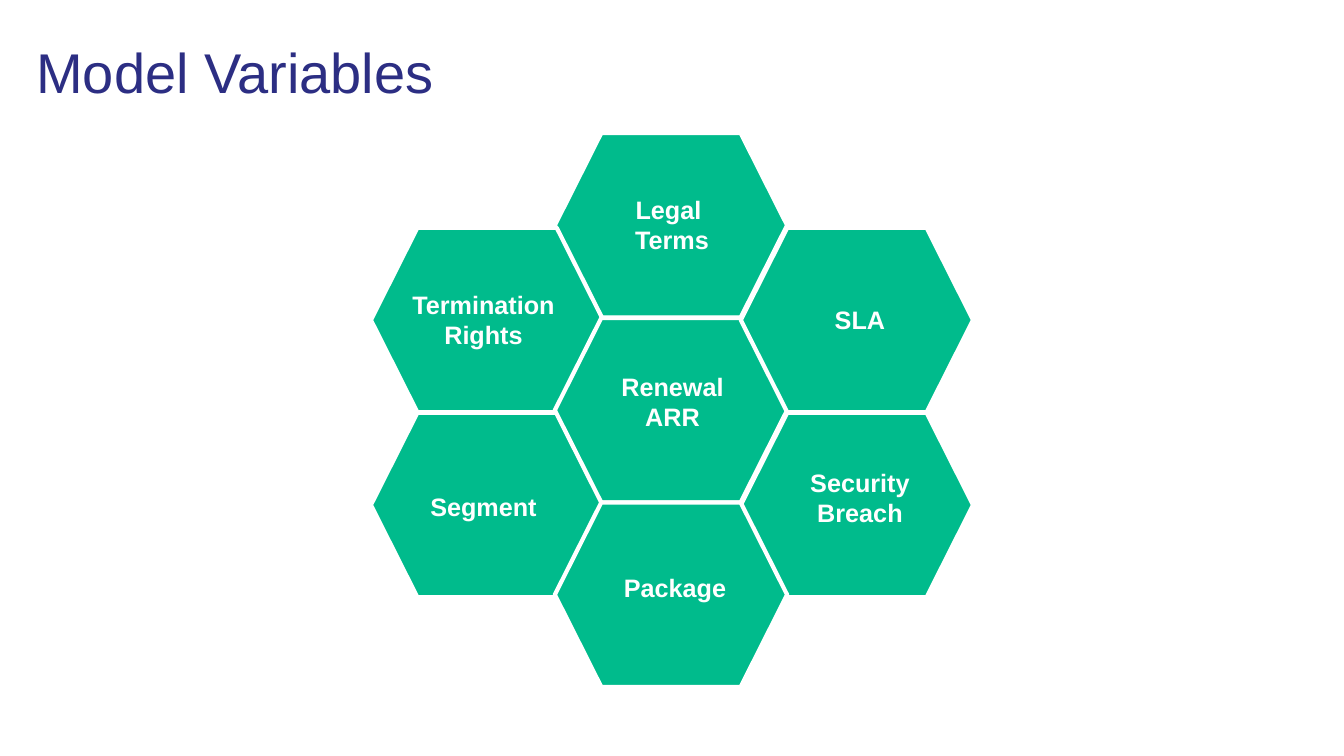
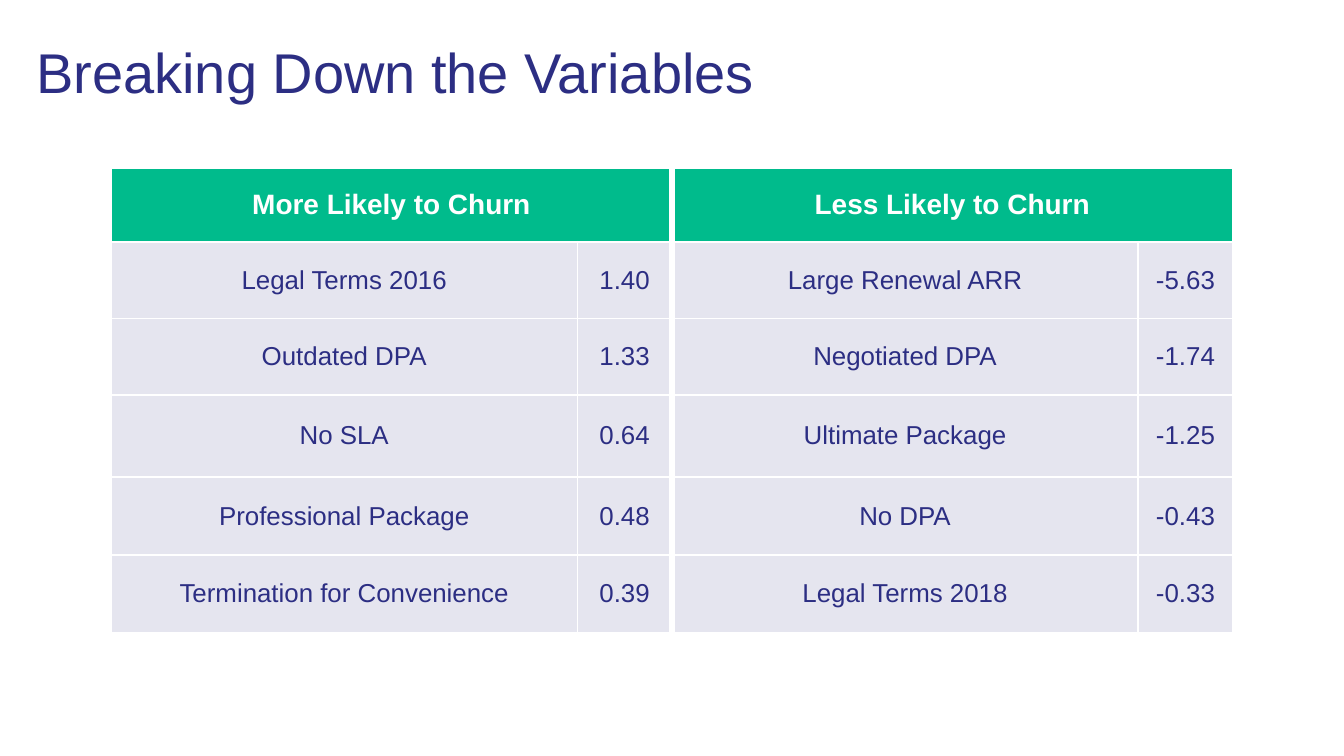
from lxml import etree
from pptx import Presentation
from pptx.dml.color import RGBColor
from pptx.enum.shapes import MSO_SHAPE
from pptx.enum.text import MSO_ANCHOR, MSO_AUTO_SIZE, PP_ALIGN
from pptx.oxml.ns import qn
from pptx.util import Inches, Pt

HEXAGON = MSO_SHAPE.FLOWCHART_PREPARATION
TOP, MIDDLE = MSO_ANCHOR.TOP, MSO_ANCHOR.MIDDLE
LEFT, CENTER = PP_ALIGN.LEFT, PP_ALIGN.CENTER
NO_AUTOFIT = MSO_AUTO_SIZE.NONE

FONT = "Arial"
NAVY, GREEN, WHITE = "2C2E83", "00BB8C", "FFFFFF"
TITLE_ONLY = 5
HEX_W, HEX_H = 4.61, 3.66
LABEL_W, LABEL_H = 3.27, 1.73
THIN, THICK = 3, 9

HEXAGONS = [
    (11.01, 2.64), (7.36, 4.52), (7.36, 8.19), (11.01, 6.31),
    (14.7, 4.52), (14.7, 8.19), (11.01, 9.97),
]
LABELS = [
    (7.96, 5.47, MIDDLE, ["Termination", "Rights"]),
    (11.71, 7.27, TOP, ["Renewal", "ARR"]),
    (11.7, 3.75, TOP, ["Legal ", "Terms"]),
    (15.43, 5.47, MIDDLE, ["SLA"]),
    (7.96, 9.18, MIDDLE, ["Segment"]),
    (11.76, 10.8, MIDDLE, ["Package"]),
    (15.43, 9, MIDDLE, ["Security", "Breach"]),
]
COL_WIDTHS = [9.26, 1.87, 9.26, 1.87]
ROW_HEIGHTS = [1.46, 1.52, 1.52, 1.62, 1.56, 1.53]
HEADERS = ["More Likely to Churn", "", "Less Likely to Churn", ""]
COEFFICIENTS = [
    ["Legal Terms 2016", "1.40", "Large Renewal ARR", "-5.63"],
    ["Outdated DPA", "1.33", "Negotiated DPA", "-1.74"],
    ["No SLA", "0.64", "Ultimate Package", "-1.25"],
    ["Professional Package", "0.48", "No DPA", "-0.43"],
    ["Termination for Convenience", "0.39", "Legal Terms 2018", "-0.33"],
]


def rgb(value):
    return RGBColor.from_string(value)


def set_fill(obj, color, alpha=None):
    obj.fill.solid()
    obj.fill.fore_color.rgb = rgb(color)
    if alpha:
        clr = obj.fill._xPr.find(qn("a:solidFill"))[0]
        etree.SubElement(clr, qn("a:alpha")).set("val", str(alpha * 1000))


def set_margins(obj, x, y):
    obj.margin_left = obj.margin_right = Inches(x)
    obj.margin_top = obj.margin_bottom = Inches(y)


def add_run(p, text, size, color, bold=False, align=CENTER):
    p.alignment = align
    r = p.add_run()
    r.text = text
    r.font.name = FONT
    r.font.size = Pt(size)
    r.font.bold = bold
    r.font.color.rgb = rgb(color)


def add_titled_slide(prs, title):
    slide = prs.slides.add_slide(prs.slide_layouts[TITLE_ONLY])
    sp = slide.shapes.title
    sp.left, sp.top = Inches(0.52), Inches(0.63)
    sp.width, sp.height = Inches(25.65), Inches(1.73)
    tf = sp.text_frame
    tf.auto_size = NO_AUTOFIT
    tf.word_wrap = True
    tf.vertical_anchor = MIDDLE
    set_margins(tf, 0.2, 0.1)
    p = tf.paragraphs[0]
    p.line_spacing = 0.9
    add_run(p, title, 80, NAVY, align=LEFT)
    return slide


def add_hexagon(shapes, x, y):
    sp = shapes.add_shape(HEXAGON, Inches(x), Inches(y), Inches(HEX_W), Inches(HEX_H))
    sp.shadow.inherit = False
    set_fill(sp, GREEN)
    sp.line.color.rgb = rgb(WHITE)
    sp.line.width = Pt(6)


def add_label(slide, x, y, anchor, lines):
    sp = slide.shapes.add_textbox(Inches(x), Inches(y), Inches(LABEL_W), Inches(LABEL_H))
    tf = sp.text_frame
    tf.word_wrap = True
    tf.auto_size = NO_AUTOFIT
    tf.vertical_anchor = anchor
    set_margins(tf, 0.1, 0.1)
    for i, line in enumerate(lines):
        p = tf.paragraphs[0] if i == 0 else tf.add_paragraph()
        add_run(p, line, 36, WHITE, bold=True)


def set_borders(cell, left, right):
    tc_pr = cell._tc.get_or_add_tcPr()
    for side, width in zip("LRTB", (left, right, THIN, THIN)):
        ln = etree.SubElement(tc_pr, qn(f"a:ln{side}"), w=str(Pt(width)))
        fill = etree.SubElement(ln, qn("a:solidFill"))
        etree.SubElement(fill, qn("a:srgbClr"), val=WHITE)


def format_cell(cell, text, row, col):
    header = row == 0
    ends_half = col == 1 or (header and col == 0)
    set_borders(cell, THICK if col == 2 else THIN, THICK if ends_half else THIN)
    set_fill(cell, GREEN if header else NAVY, None if header else 12)
    cell.vertical_anchor = MIDDLE
    set_margins(cell, 0.27, 0.27)
    if text:
        p = cell.text_frame.paragraphs[0]
        add_run(p, text, 40 if header else 37, WHITE if header else NAVY, bold=header)


def add_churn_table(slide):
    rows = [HEADERS] + COEFFICIENTS
    frame = slide.shapes.add_table(
        len(rows), len(HEADERS), Inches(2.2), Inches(3.34),
        Inches(sum(COL_WIDTHS)), Inches(sum(ROW_HEIGHTS)))
    table = frame.table
    table.horz_banding = False
    for column, width in zip(table.columns, COL_WIDTHS):
        column.width = Inches(width)
    for row, height in zip(table.rows, ROW_HEIGHTS):
        row.height = Inches(height)
    for i, texts in enumerate(rows):
        for j, text in enumerate(texts):
            format_cell(table.cell(i, j), text, i, j)
    for j in (0, 2):
        table.cell(0, j).merge(table.cell(0, j + 1))


def main():
    prs = Presentation()
    prs.slide_width, prs.slide_height = Inches(26.67), Inches(15)

    slide = add_titled_slide(prs, "Model Variables")
    honeycomb = slide.shapes.add_group_shape()
    for x, y in HEXAGONS:
        add_hexagon(honeycomb.shapes, x, y)
    for label in LABELS:
        add_label(slide, *label)

    slide = add_titled_slide(prs, "Breaking Down the Variables")
    add_churn_table(slide)

    prs.save("out.pptx")


if __name__ == "__main__":
    main()
